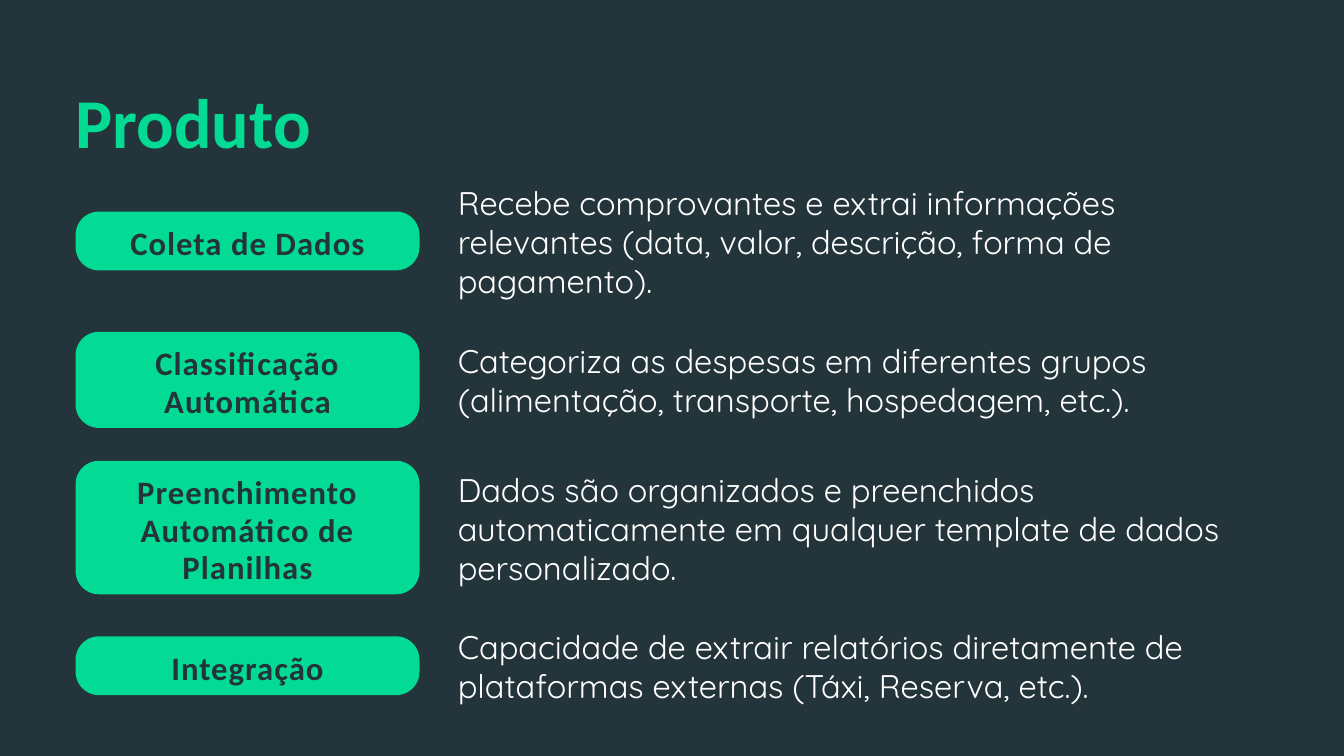
from pptx import Presentation
from pptx.dml.color import RGBColor
from pptx.enum.shapes import MSO_SHAPE as Shape
from pptx.enum.text import MSO_ANCHOR as Anchor, PP_ALIGN as Align
from pptx.util import Pt

GREEN, DARK, WHITE = "03DB94", "23343B", "FFFFFF"
HEADING_FONT, BODY_FONT = "Calibri", "Quicksand"
LEFT, PILL_WIDTH, PILL_RADIUS = 81, 368.5, 25
DESCRIPTION_LEFT = 490.5

# label, label lines, description, description lines, width, row centre
FEATURES = [
    ("Coleta de Dados", 1,
     "Recebe comprovantes e extrai informações relevantes "
     "(data, valor, descrição, forma de pagamento).", 3, 852.5, 258.2),
    ("Classificação Automática", 2,
     "Categoriza as despesas em diferentes grupos "
     "(alimentação, transporte, hospedagem, etc.).", 2, 868.3, 407),
    ("Preenchimento Automático de Planilhas", 3,
     "Dados são organizados e preenchidos automaticamente "
     "em qualquer template de dados personalizado.", 3, 843, 565.2),
    ("Integração", 1,
     "Capacidade de extrair relatórios diretamente de "
     "plataformas externas (Táxi, Reserva, etc.).", 2, 843, 713.3),
]


def color(hex_code):
    return RGBColor.from_string(hex_code)


class SlideBuilder:
    def __init__(self, slide):
        self.slide = slide

    def background(self, fill):
        self.slide.background.fill.solid()
        self.slide.background.fill.fore_color.rgb = color(fill)

    def fill_text(self, frame, text, size, font, ink, leading,
                  insets=(0, 0, 0, 0), bold=False, align=Align.LEFT,
                  anchor=Anchor.TOP, tracking=0):
        frame.word_wrap = True
        frame.vertical_anchor = anchor
        (frame.margin_left, frame.margin_top,
         frame.margin_right, frame.margin_bottom) = map(Pt, insets)
        paragraph = frame.paragraphs[0]
        paragraph.alignment = align
        paragraph.line_spacing = Pt(leading)
        run = paragraph.add_run()
        run.text = text
        run.font.size = Pt(size)
        run.font.name = font
        run.font.bold = bold
        run.font.color.rgb = color(ink)
        if tracking:
            run._r.get_or_add_rPr().set("spc", str(round(tracking * 100)))

    def text(self, parent, left, top, width, height, text, **style):
        box = parent.shapes.add_textbox(Pt(left), Pt(top), Pt(width), Pt(height))
        self.fill_text(box.text_frame, text, **style)

    def pill(self, parent, left, top, width, height, label):
        pill = parent.shapes.add_shape(
            Shape.ROUNDED_RECTANGLE, Pt(left), Pt(top), Pt(width), Pt(height))
        pill.adjustments[0] = PILL_RADIUS / height
        pill.shadow.inherit = False
        pill.fill.solid()
        pill.fill.fore_color.rgb = color(GREEN)
        pill.line.fill.background()
        self.fill_text(pill.text_frame, label, size=35, font=HEADING_FONT,
                       ink=DARK, leading=40.2, insets=(4, 9, 4, 4), bold=True,
                       align=Align.CENTER, anchor=Anchor.MIDDLE, tracking=1.1)

    def feature(self, label, label_lines, description, lines, width, centre):
        row = self.slide.shapes.add_group_shape()
        pill_height = 23 + 40 * label_lines
        self.pill(row, LEFT, centre - pill_height / 2, PILL_WIDTH, pill_height, label)
        height = 41.5 * lines
        self.text(row, DESCRIPTION_LEFT, centre - height / 2, width, height,
                  description, size=35, font=BODY_FONT, ink=WHITE, leading=42)


def main():
    deck = Presentation()
    deck.slide_width, deck.slide_height = Pt(1440), Pt(810)
    builder = SlideBuilder(deck.slides.add_slide(deck.slide_layouts[6]))
    builder.background(DARK)

    # Title
    builder.text(builder.slide, LEFT, 69, 580, 102, "Produto", size=75,
                 font=HEADING_FONT, ink=GREEN, leading=105, bold=True)

    # Product features
    for feature in FEATURES:
        builder.feature(*feature)

    deck.save("out.pptx")


if __name__ == "__main__":
    main()
